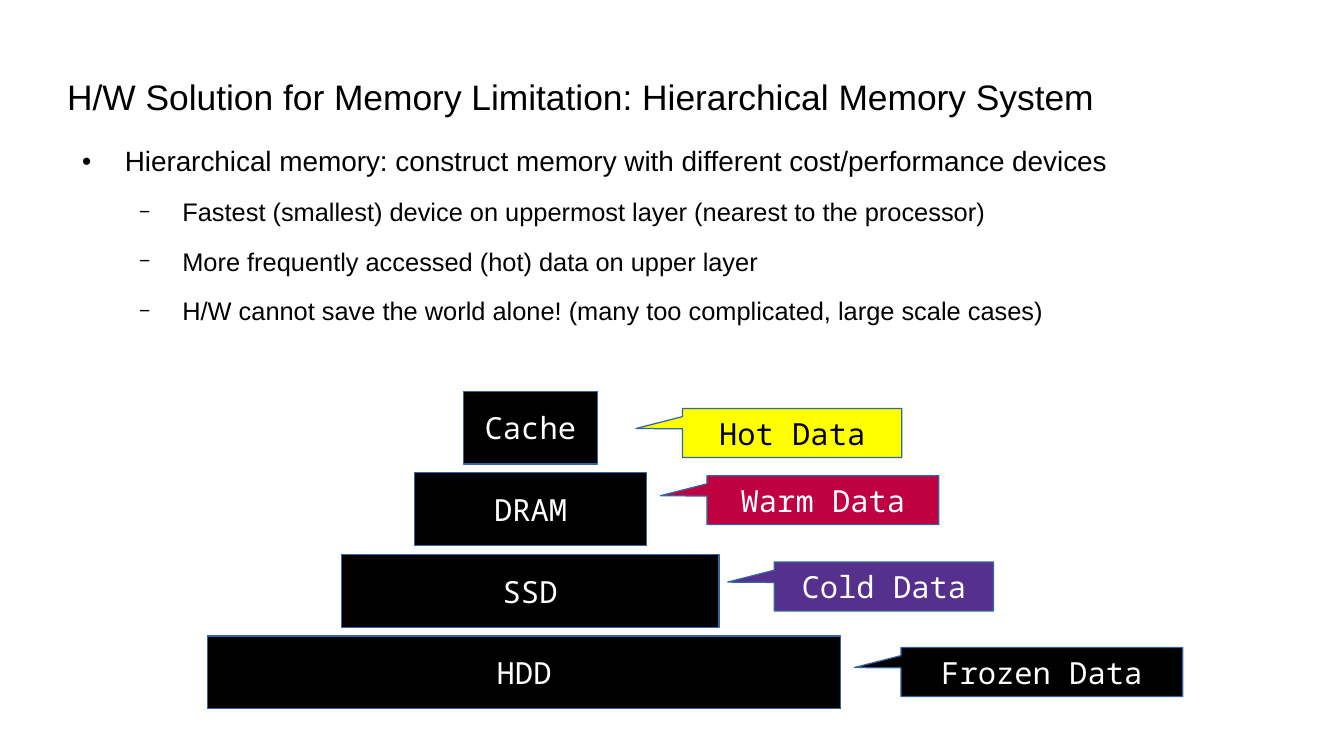
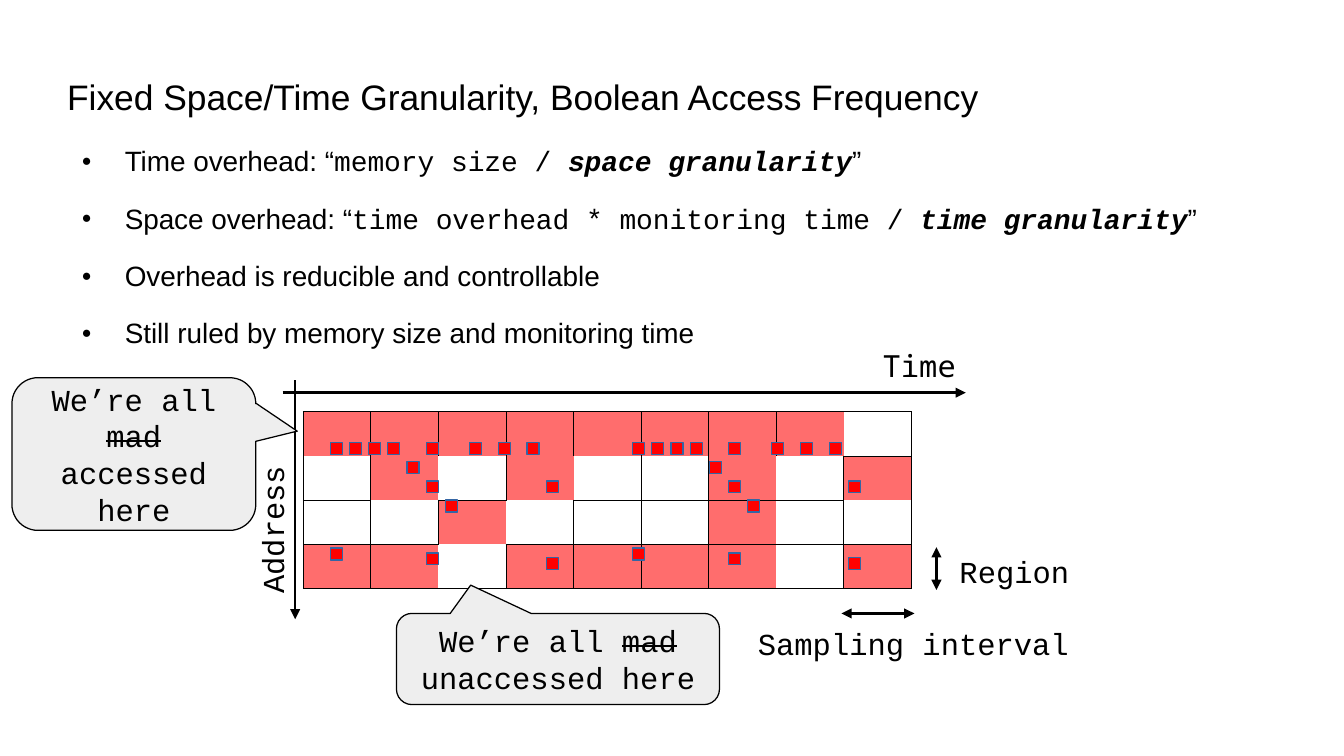
from itertools import product

from lxml.etree import SubElement
from pptx import Presentation
from pptx.dml.color import RGBColor
from pptx.enum.shapes import MSO_CONNECTOR, MSO_SHAPE
from pptx.enum.text import MSO_ANCHOR, PP_ALIGN
from pptx.oxml import parse_xml
from pptx.oxml.ns import nsdecls, qn
from pptx.util import Cm, Pt

# Shared look
BLACK, WHITE, BLUE = "000000", "FFFFFF", "3465A4"
PINK, RED, GREY = "FF6D6D", "FF0000", "EEEEEE"
SANS, CODE, MONO = "Arial", "Courier New", "Noto Sans Mono"
HEAD = (1.4, 1.37, 25.2, 1.27)
BODY = (1.4, 3, 25.2, 11.1)
# Per level: indent, space before, size, bullet, bullet percent
LEVELS = [(1.2, 14.1, 16.5, "●", 60), (2.4, 11.2, 15, "−", 75)]


def rgb(code):
    return RGBColor.from_string(code)


def place(box, x, y):
    return Cm(box[0] + x), Cm(box[1] + y)


def style(font, name, size, color=BLACK):
    font.name, font.size = name, Pt(size)
    font.color.rgb = rgb(color)


def write(para, parts):
    """Parts are plain strings or (text, settings) pairs."""
    for part in parts:
        text, extra = (part, {}) if isinstance(part, str) else part
        run = para.add_run()
        run.text = text
        for key, value in extra.items():
            if key == "strike":
                run.font._element.set("strike", "sngStrike")
            else:
                setattr(run.font, key, value)


def frame(slide, box):
    text = slide.shapes.add_textbox(*map(Cm, box)).text_frame
    text.word_wrap = True
    text.margin_left = text.margin_right = 0
    text.margin_top = text.margin_bottom = 0
    return text


def bullet(para, level):
    indent, _, _, char, scale = LEVELS[level]
    props = para._p.get_or_add_pPr()
    props.set("marL", str(Cm(indent)))
    props.set("indent", str(-Cm(0.9)))
    color = SubElement(props, qn("a:buClr"))
    SubElement(color, qn("a:srgbClr"), val=BLACK)
    SubElement(props, qn("a:buSzPct"), val=str(scale * 1000))
    SubElement(props, qn("a:buFont"), typeface=SANS)
    SubElement(props, qn("a:buChar"), char=char)


def page(deck, title, items):
    """Slide with a title and a bullet list of (level, parts)."""
    slide = deck.slides.add_slide(deck.slide_layouts[6])
    head = frame(slide, HEAD)
    head.vertical_anchor = MSO_ANCHOR.MIDDLE
    head.paragraphs[0].text = title
    style(head.paragraphs[0].font, SANS, 20.9)

    body = frame(slide, BODY)
    for i, (level, parts) in enumerate(items):
        para = body.add_paragraph() if i else body.paragraphs[0]
        para.level = level
        _, gap, size, _, _ = LEVELS[level]
        bullet(para, level)
        para.space_before = Pt(gap if i else 0)
        style(para.font, SANS, size)
        write(para, parts)
    return slide


def block(slide, kind, spot, size, fill, edge, parts=(), font=MONO,
          ink=WHITE, wrap=True, bends=()):
    shape = slide.shapes.add_shape(kind, *spot, *map(Cm, size))
    shape.shadow.inherit = False
    for i, bend in enumerate(bends):
        shape.adjustments[i] = bend
    shape.fill.solid()
    shape.fill.fore_color.rgb = rgb(fill)
    shape.line.color.rgb = rgb(edge)
    shape.line.width = Pt(0)
    if parts:
        text = shape.text_frame
        text.word_wrap = wrap
        text.vertical_anchor = MSO_ANCHOR.MIDDLE
        para = text.paragraphs[0]
        para.alignment = PP_ALIGN.CENTER
        style(para.font, font, 18, ink)
        write(para, parts)


def label(slide, spot, size, text, font=CODE, turn=0):
    shape = slide.shapes.add_textbox(*spot, *map(Cm, size))
    shape.rotation = turn
    shape.text_frame.word_wrap = bool(turn)
    para = shape.text_frame.paragraphs[0]
    para.text = text
    style(para.font, font, 18)


def arrow(slide, start, end, width, ends=("tailEnd",)):
    line = slide.shapes.add_connector(MSO_CONNECTOR.STRAIGHT, *start, *end)
    line.line.color.rgb = rgb(BLACK)
    line.line.width = Pt(width)
    for tip in ends:
        SubElement(line.line._ln, qn("a:" + tip), type="triangle")
    SubElement(line._element.spPr, qn("a:effectLst"))


def tiers(slide, box):
    """Memory layers with a callout beside each."""
    layers = [("Cache", 5.33, 2.8), ("DRAM", 4.32, 4.83),
              ("SSD", 2.79, 7.87), ("HDD", 0, 13.2)]
    for i, (name, x, wide) in enumerate(layers):
        block(slide, MSO_SHAPE.RECTANGLE, place(box, x, 1.7 * i),
              (wide, 1.52), BLACK, BLUE, [name], wrap=False)

    notes = [("Hot Data", 9.9, 0.36, 4.57, "FFFF00", BLACK),
             ("Warm Data", 10.41, 1.76, 4.83, "BF0041", WHITE),
             ("Cold Data", 11.81, 3.56, 4.57, "55308D", WHITE),
             ("Frozen Data", 14.45, 5.34, 5.87, BLACK, WHITE)]
    for name, x, y, wide, fill, ink in notes:
        block(slide, MSO_SHAPE.RECTANGULAR_CALLOUT, place(box, x, y),
              (wide, 1.02), fill, BLUE, [name], ink=ink,
              bends=(-0.5 - 0.97 / wide, -0.09))


def border(cell, sides):
    props = cell._tc.get_or_add_tcPr()
    for i, side in enumerate("LRTB"):
        paint = "<a:noFill/>"
        if side in sides:
            paint = f'<a:solidFill><a:srgbClr val="{BLACK}"/></a:solidFill>'
        props.insert(i, parse_xml(
            f'<a:ln{side} {nsdecls("a")} w="{Pt(0.57)}">{paint}</a:ln{side}>'))


def grid(slide, box):
    """Access table: # is a hit with all borders, else the sides drawn."""
    rows = ["# # # # # # # # TR",
            "LB #LRB - #LRB RB LB #LRB B #",
            "LTR L # R LTR LT # TRB LR",
            "# # B # # #LTB # TB #"]
    table = slide.shapes.add_table(4, 9, *map(Cm, box)).table
    table.first_row = table.horz_banding = False
    for col in table.columns:
        col.width = Cm(box[2] / 9)
    for r, row in enumerate(rows):
        table.rows[r].height = Cm(box[3] / 4)
        for c, mark in enumerate(row.split()):
            cell = table.cell(r, c)
            cell.margin_top = cell.margin_bottom = 0
            cell.text_frame.paragraphs[0].font.size = Pt(8)
            if "#" in mark:
                cell.fill.solid()
                cell.fill.fore_color.rgb = rgb(PINK)
            else:
                cell.fill.background()
            border(cell, "LRTB" if mark == "#" else mark)


def dots(slide, box):
    """One access pattern, seen twice."""
    marks = [(x, 0) for x in (0, 0.4, 0.8, 1.2, 2, 2.9, 3.5, 4.1)]
    marks += [(1.6, 0.4), (2, 0.8), (2.4, 1.2), (4.5, 0.8),
              (0, 2.2), (2, 2.3), (4.5, 2.4)]
    for shift, (x, y) in product((0, 6.3), marks):
        block(slide, MSO_SHAPE.RECTANGLE,
              place(box, 0.56 + shift + x, 0.64 + y), (0.25, 0.25), RED, BLUE)


def chart(slide, box):
    """Access map with axes, measures and callouts."""
    grid(slide, box)

    # Axes
    arrow(slide, place(box, -0.17, -0.66), place(box, -0.17, 4.32), 1.5)
    arrow(slide, place(box, -0.43, -0.4), place(box, 13.8, -0.4), 1.5)
    label(slide, place(box, 11.82, -1.47), (2.03, 1.12), "Time", MONO)
    dots(slide, box)
    label(slide, place(box, -2.05, 1.45), (3.48, 1.7), "Address", turn=270)

    # Measures
    both = ("headEnd", "tailEnd")
    arrow(slide, place(box, 11.21, 4.2), place(box, 12.73, 4.2), 0, both)
    arrow(slide, place(box, 13.19, 2.82), place(box, 13.19, 3.71), 0, both)
    label(slide, place(box, 9.22, 4.32), (6.99, 0.97), "Sampling interval")
    label(slide, place(box, 13.42, 2.82), (2.8, 0.97), "Region")

    # Callouts
    notes = [(-6.07, -0.71, 5.08, 3.18, " accessed here", 0.67, -0.15),
             (1.94, 4.2, 6.73, 1.9, " unaccessed here", -0.27, -0.81)]
    for x, y, wide, high, end, *tip in notes:
        block(slide, MSO_SHAPE.ROUNDED_RECTANGULAR_CALLOUT, place(box, x, y),
              (wide, high), GREY, BLACK,
              ["We’re all ", ("mad", {"strike": True}), end],
              CODE, BLACK, bends=(*tip, 0.17))


def main():
    deck = Presentation()
    deck.slide_width, deck.slide_height = Cm(28), Cm(15.75)

    slide = page(
        deck, "H/W Solution for Memory Limitation: Hierarchical Memory System",
        [(0, ["Hierarchical memory: construct memory with different "
              "cost/performance devices"]),
         (1, ["Fastest (smallest) device on uppermost layer "
              "(nearest to the processor)"]),
         (1, ["More frequently accessed (hot) data on upper layer"]),
         (1, ["H/W cannot save the world alone! "
              "(many too complicated, large scale cases)"])])
    tiers(slide, (4.32, 8.15))

    code = {"name": CODE}
    bold = {"name": CODE, "bold": True, "italic": True}
    slide = page(
        deck, "Fixed Space/Time Granularity, Boolean Access Frequency",
        [(0, ["Time overhead: “", ("memory size / ", code),
              ("space granularity", bold), "”"]),
         (0, ["Space overhead: “",
              ("time overhead * monitoring time / ", code),
              ("time granularity", bold), "”"]),
         (0, ["Overhead is reducible and controllable"]),
         (0, ["Still ruled by memory size and monitoring time"])])
    chart(slide, (6.32, 8.58, 12.67, 3.68))

    deck.save("out.pptx")


if __name__ == "__main__":
    main()
